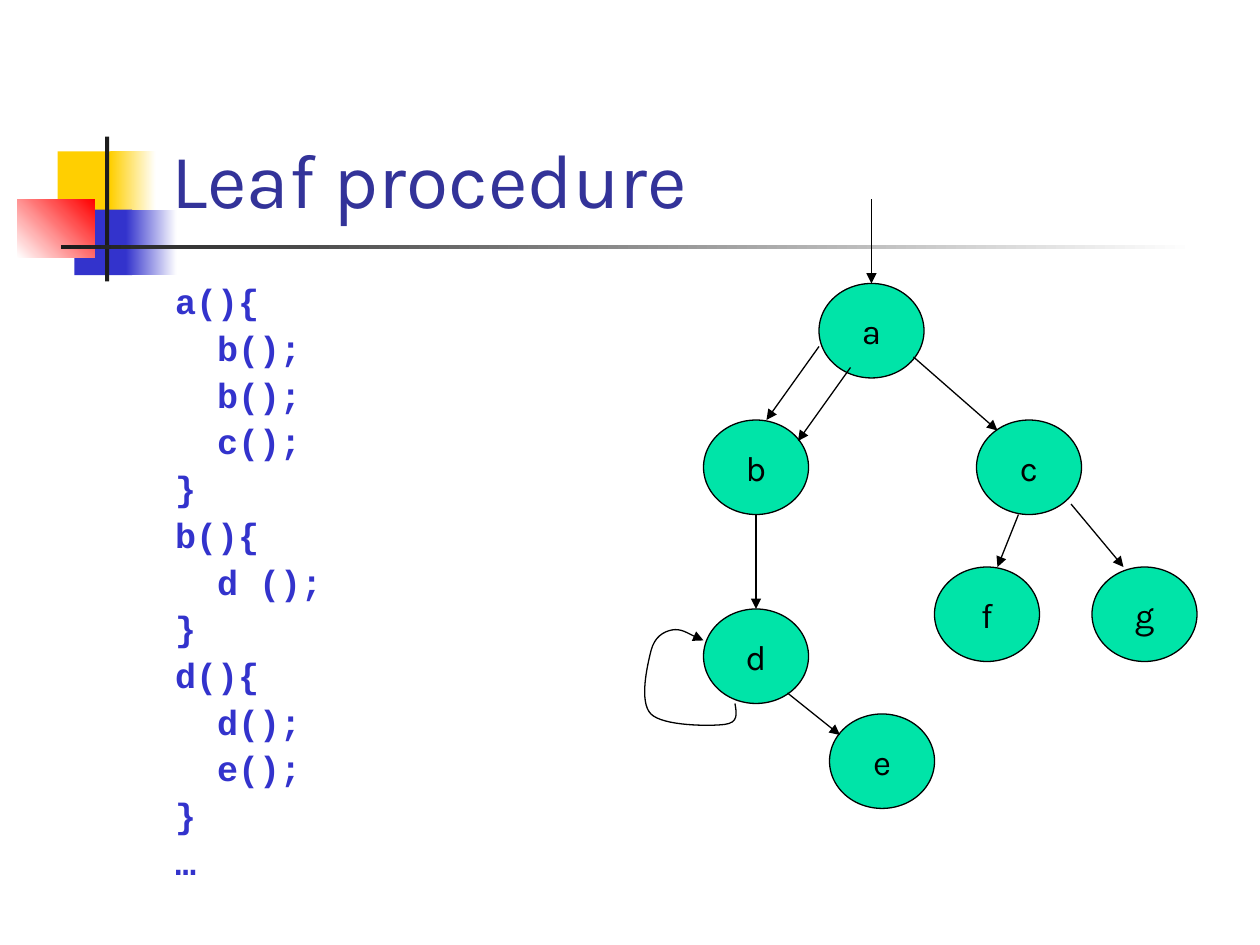
from lxml import etree
from pptx import Presentation
from pptx.dml.color import RGBColor
from pptx.enum import shapes, text
from pptx.oxml import ns
from pptx.util import Pt

BLACK = RGBColor(0x00, 0x00, 0x00)
WHITE = RGBColor(0xFF, 0xFF, 0xFF)
YELLOW = RGBColor(0xFF, 0xCF, 0x01)
BLUE = RGBColor(0x33, 0x33, 0xCC)
RED = RGBColor(0xFF, 0x00, 0x00)
CHARCOAL = RGBColor(0x1C, 0x1C, 0x1C)
NAVY = RGBColor(0x33, 0x33, 0x99)
GREEN = RGBColor(0x00, 0xE4, 0xA8)

TITLE = "Leaf procedure"
CODE = """a(){
  b();
  b();
  c();
}
b(){
  d ();
}
d(){
  d();
  e();
}
…"""

# Left, top, width, height, colours from start to end, gradient angle
ORNAMENTS = [
    (33, 86.5, 35, 37.5, [YELLOW], 0),
    (63, 86.5, 26, 37.5, [YELLOW, WHITE], 0),
    (42.5, 119.8, 33, 37.5, [BLUE], 0),
    (72, 119.8, 29, 37.5, [BLUE, WHITE], 0),
    (9.8, 113.8, 44.3, 33.3, [WHITE, RED], 45),
    (60, 78, 2.4, 82.8, [CHARCOAL], 0),
    (34.8, 140, 648, 2.6, [CHARCOAL, WHITE], 0),
]
NODE_SIZE = (60, 54)
NODES = {"a": (468, 162), "b": (402, 240), "c": (558, 240), "d": (402, 348),
         "e": (474, 408), "f": (534, 324), "g": (624, 324)}
CALLS = [
    ((498, 114), (498, 162)),
    ((468, 198), (438, 240)),
    ((486, 210), (456, 252)),
    ((522, 204), (570, 246)),
    ((432, 294), (432, 348)),
    ((450, 396), (480, 420)),
    ((582, 294), (570, 324)),
    ((612, 288), (642, 324)),
]
# Start point, then two control points and an end point for each curve
RECURSION = [
    (420, 402),
    (421, 408), (422, 413), (414, 414),
    (406, 415), (379, 415), (372, 408),
    (365, 401), (370, 380), (372, 372),
    (374, 364), (379, 361), (384, 360),
    (389, 359), (399, 365), (402, 366),
]


def points(values):
    return [Pt(value) for value in values]


def style_font(font, name, size, color, bold=False):
    font.name, font.size, font.bold = name, Pt(size), bold
    font.color.rgb = color


def style_arrow(shape):
    shape.line.color.rgb = BLACK
    shape.line.width = Pt(0.75)
    etree.SubElement(shape.line._get_or_add_ln(), ns.qn("a:tailEnd"), type="triangle")


def add_ornament(page, left, top, width, height, colors, angle):
    block = page.shapes.add_shape(shapes.MSO_SHAPE.RECTANGLE,
                                  *points((left, top, width, height)))
    block.shadow.inherit = False
    block.line.fill.background()
    if len(colors) == 1:
        block.fill.solid()
        block.fill.fore_color.rgb = colors[0]
    else:
        block.fill.gradient()
        block.fill.gradient_angle = angle
        for stop, color in zip(block.fill.gradient_stops, colors):
            stop.color.rgb = color


def add_title(page):
    title = page.shapes.title
    title.left, title.top, title.width, title.height = points((90.7, 16.6, 613.4, 115.2))
    frame = title.text_frame
    frame.text = TITLE
    frame.auto_size = text.MSO_AUTO_SIZE.NONE
    frame.vertical_anchor = text.MSO_ANCHOR.BOTTOM
    para = frame.paragraphs[0]
    para.alignment = text.PP_ALIGN.LEFT
    style_font(para.runs[0].font, "Karla", 44, NAVY)


def add_code(page):
    box = page.shapes.add_textbox(*points((93, 159, 321, 324)))
    frame = box.text_frame
    frame.word_wrap = True
    frame.text = CODE
    for index, para in enumerate(frame.paragraphs):
        para.line_spacing = 0.9
        para.space_before = Pt(5.1 if index else 0)
        style_font(para.runs[0].font, "Courier New", 20, BLUE, bold=True)


def add_node(page, name, corner):
    node = page.shapes.add_shape(shapes.MSO_SHAPE.OVAL, *points(corner + NODE_SIZE))
    node.shadow.inherit = False
    node.fill.solid()
    node.fill.fore_color.rgb = GREEN
    node.line.color.rgb = BLACK
    node.line.width = Pt(0.75)
    frame = node.text_frame
    frame.text = name
    frame.word_wrap = False
    frame.vertical_anchor = text.MSO_ANCHOR.MIDDLE
    para = frame.paragraphs[0]
    para.alignment = text.PP_ALIGN.CENTER
    style_font(para.runs[0].font, "Karla", 20, BLACK)


def add_call(page, start, end):
    arrow = page.shapes.add_connector(shapes.MSO_CONNECTOR.STRAIGHT, *points(start + end))
    style_arrow(arrow)
    etree.SubElement(arrow._element.spPr, ns.qn("a:effectLst"))


def add_recursion(page):
    """Draw the loop as lines through its points, then join each three into a curve."""
    start, *rest = [tuple(points(point)) for point in RECURSION]
    builder = page.shapes.build_freeform(*start)
    builder.add_line_segments(rest, close=False)
    loop = builder.convert_to_shape()
    loop.shadow.inherit = False
    loop.fill.background()
    style_arrow(loop)
    outline = next(loop._element.iter(ns.qn("a:path")))
    segments = outline.findall(ns.qn("a:lnTo"))
    for first in range(0, len(segments), 3):
        curve = etree.SubElement(outline, ns.qn("a:cubicBezTo"))
        for segment in segments[first:first + 3]:
            curve.append(segment[0])
            outline.remove(segment)


def main():
    deck = Presentation()
    deck.slide_width, deck.slide_height = points((720, 540))
    page = deck.slides.add_slide(deck.slide_layouts[5])
    for ornament in ORNAMENTS:
        add_ornament(page, *ornament)
    add_title(page)
    add_code(page)
    for name, corner in NODES.items():
        add_node(page, name, corner)
    for start, end in CALLS:
        add_call(page, start, end)
    add_recursion(page)
    deck.save("out.pptx")


if __name__ == "__main__":
    main()
